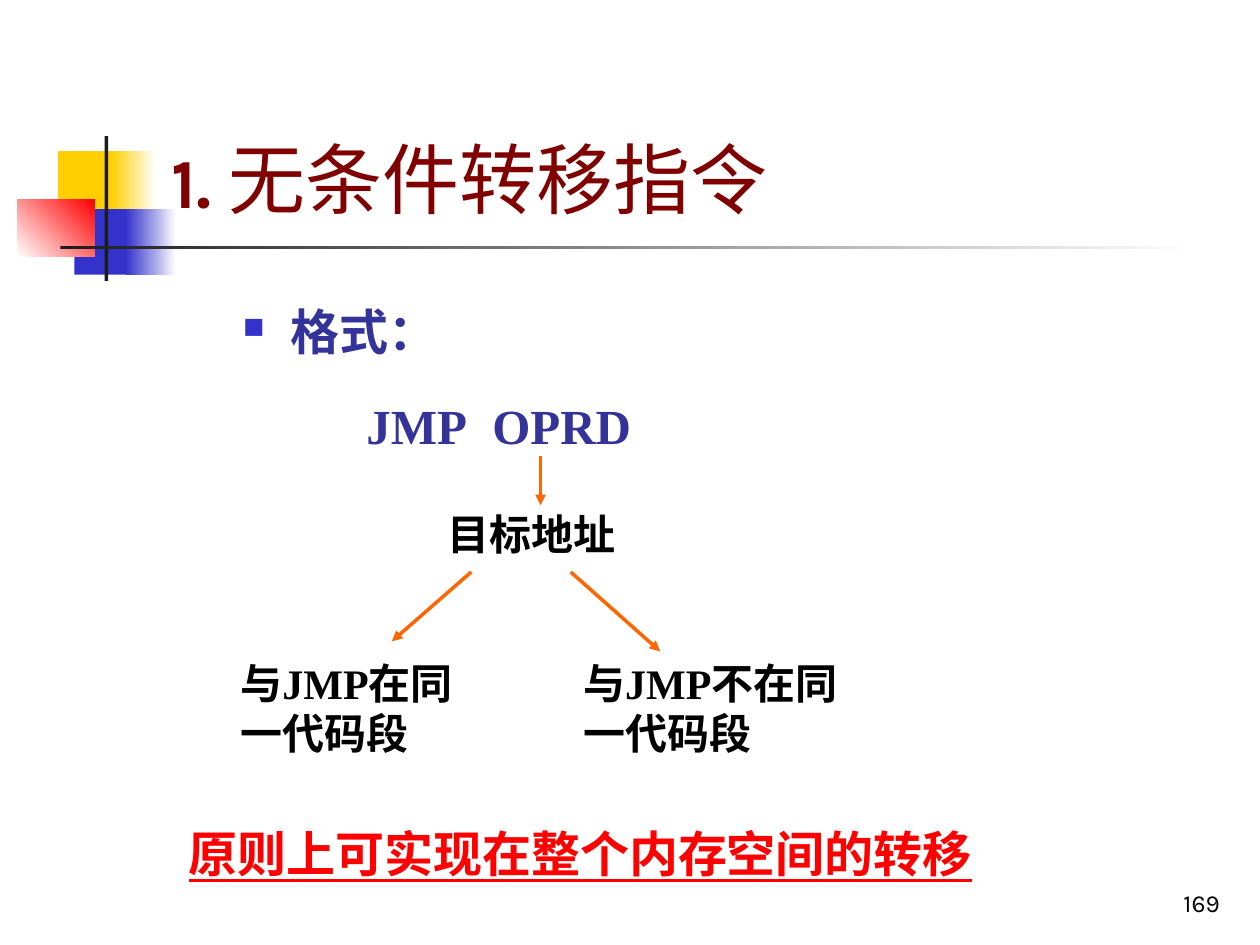
from lxml import etree
from pptx import Presentation
from pptx.dml.color import RGBColor
from pptx.enum import shapes, text
from pptx.oxml import ns
from pptx.util import Inches, Pt

COLORS = {
    "yellow": "FFCF01",
    "blue": "3333CC",
    "red": "FF0000",
    "white": "FFFFFF",
    "charcoal": "1C1C1C",
    "maroon": "800000",
    "indigo": "333399",
    "black": "000000",
    "orange": "FF6600",
}


def color(name):
    return RGBColor.from_string(COLORS[name])


def add_element(parent, tag, **attributes):
    return etree.SubElement(parent, ns.qn(tag), attributes)


class SlideBuilder:
    sans = "Karla"
    serif = "Times New Roman"

    def __init__(self, page):
        self.page = page

    def block(self, place, start, end=None, angle=0):
        shape = self.page.shapes.add_shape(
            shapes.MSO_SHAPE.RECTANGLE, *map(Inches, place))
        shape.shadow.inherit = False
        shape.line.fill.background()
        if end is None:
            shape.fill.solid()
            shape.fill.fore_color.rgb = color(start)
            return
        shape.fill.gradient()
        shape.fill.gradient_angle = angle
        for stop, name in zip(shape.fill.gradient_stops, (start, end)):
            stop.color.rgb = color(name)

    def frame(self, place, anchor=text.MSO_ANCHOR.TOP):
        box = self.page.shapes.add_textbox(*map(Inches, place))
        box.text_frame.word_wrap = True
        box.text_frame.vertical_anchor = anchor
        return box.text_frame

    def span(self, para, words, size, ink, font, bold=True, underline=False):
        span = para.add_run()
        span.text = words
        span.font.size = Pt(size)
        span.font.name = font
        span.font.bold = bold
        span.font.underline = underline
        span.font.color.rgb = color(ink)

    def label(self, place, words, size=24, ink="black", underline=False):
        frame = self.frame(place)
        frame.auto_size = text.MSO_AUTO_SIZE.SHAPE_TO_FIT_TEXT
        self.span(frame.paragraphs[0], words, size, ink, self.serif,
                  underline=underline)

    def bullet(self, para, indent):
        props = para._p.get_or_add_pPr()
        props.set("marL", str(Inches(indent)))
        props.set("indent", str(-Inches(indent)))
        add_element(add_element(props, "a:buClr"), "a:srgbClr",
                    val=COLORS["blue"])
        add_element(props, "a:buSzPct", val="60000")
        add_element(props, "a:buChar", char="■")

    def tabbed(self, para, indent, stop):
        props = para._p.get_or_add_pPr()
        props.set("marL", str(Inches(indent)))
        props.set("indent", "0")
        add_element(props, "a:buNone")
        add_element(add_element(props, "a:tabLst"), "a:tab",
                    pos=str(Inches(stop)), algn="l")

    def arrow(self, start, end):
        line = self.page.shapes.add_connector(
            shapes.MSO_CONNECTOR.STRAIGHT, *map(Inches, start + end))
        line.line.color.rgb = color("orange")
        line.line.width = Pt(2)
        add_element(line.line._get_or_add_ln(), "a:tailEnd", type="triangle")
        add_element(line._element.spPr, "a:effectLst")


def main():
    deck = Presentation()
    deck.slide_width, deck.slide_height = Inches(10), Inches(7.5)
    slide = SlideBuilder(deck.slides.add_slide(deck.slide_layouts[6]))

    slide.block((0.46, 1.2, 0.48, 0.52), "yellow")
    slide.block((0.88, 1.2, 0.36, 0.52), "yellow", "white")
    slide.block((0.59, 1.66, 0.46, 0.52), "blue")
    slide.block((1, 1.66, 0.4, 0.52), "blue", "white")
    slide.block((0.14, 1.58, 0.61, 0.46), "white", "red", 45)
    slide.block((0.83, 1.08, 0.03, 1.15), "charcoal")
    slide.block((0.48, 1.95, 9, 0.03), "charcoal", "white")

    number = slide.frame((7.7, 6.83, 2.08, 0.5), text.MSO_ANCHOR.BOTTOM)
    number.paragraphs[0].alignment = text.PP_ALIGN.RIGHT
    slide.span(number.paragraphs[0], "169", 14, "black", slide.sans, False)

    title = slide.frame((1.26, 0.23, 8.52, 1.6), text.MSO_ANCHOR.BOTTOM)
    slide.span(title.paragraphs[0], "1. ", 40, "maroon", slide.sans)
    slide.span(title.paragraphs[0], "无条件转移指令", 44, "maroon",
               slide.sans, False)

    body = slide.frame((1.83, 2.3, 5.69, 1.61))
    heading, syntax = body.paragraphs[0], body.add_paragraph()
    slide.bullet(heading, 0.38)
    slide.tabbed(syntax, 0.98, 1.94)
    heading.line_spacing = syntax.line_spacing = 1.1
    heading.space_after = Pt(1.4)
    syntax.space_before = Pt(15)
    slide.span(heading, "格式：", 28, "indigo", slide.sans)
    slide.span(syntax, "JMP\tOPRD", 28, "indigo", slide.serif)

    slide.label((3.45, 3.99, 1.83, 0.5), "目标地址")
    slide.label((1.81, 5.17, 2.17, 0.9), "与JMP在同一代码段")
    slide.label((4.53, 5.17, 2.33, 0.9), "与JMP不在同一代码段")
    slide.label((1.4, 6.49, 6.67, 0.57), "原则上可实现在整个内存空间的转移",
                28, "red", True)

    slide.arrow((3.74, 4.54), (3.11, 5.09))
    slide.arrow((4.53, 4.54), (5.24, 5.17))
    slide.arrow((4.29, 3.62), (4.29, 4.01))

    deck.save("out.pptx")


if __name__ == "__main__":
    main()
